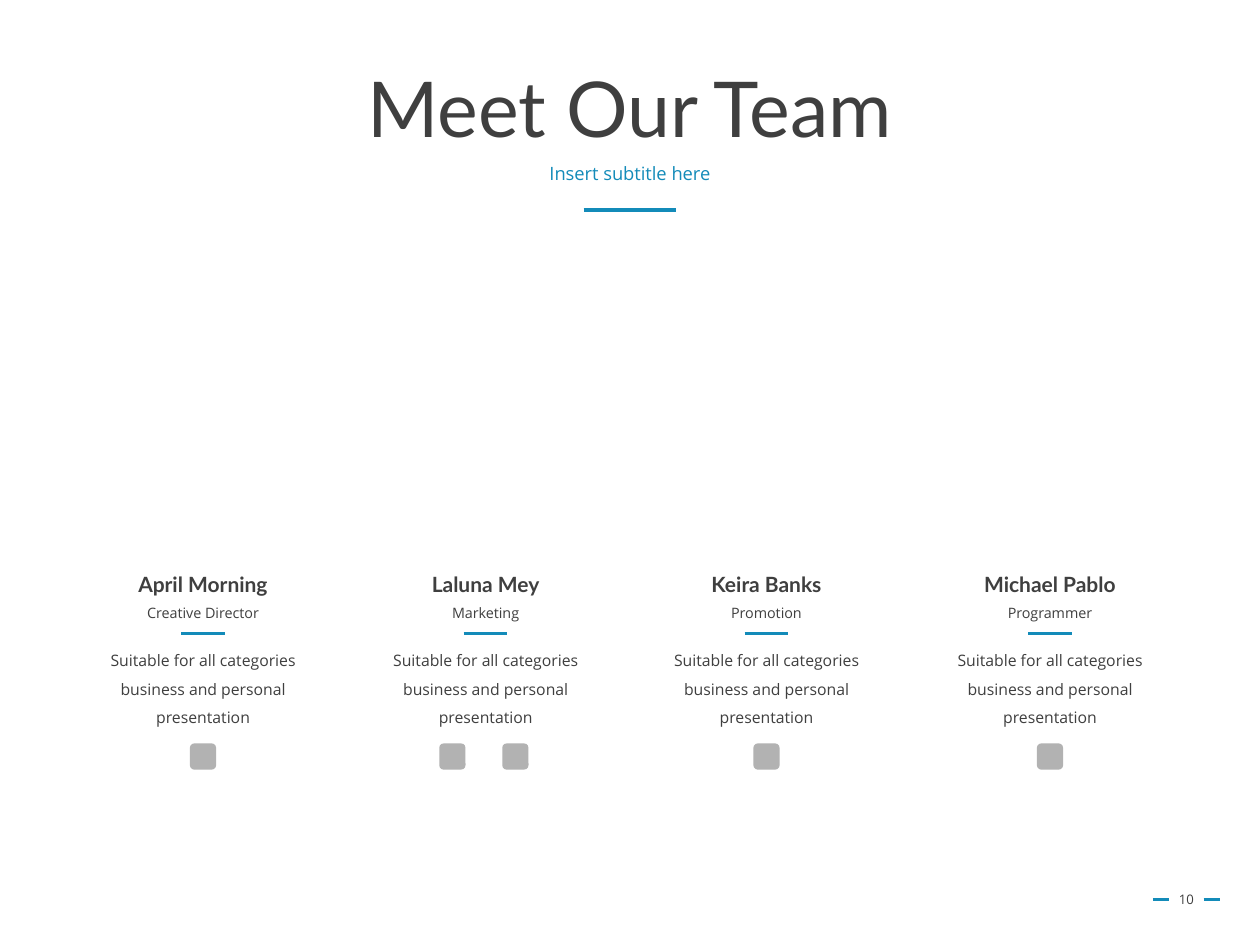
from dataclasses import dataclass

from lxml import etree
from pptx import Presentation
from pptx.dml.color import RGBColor
from pptx.enum.shapes import MSO_CONNECTOR, MSO_SHAPE
from pptx.enum.text import MSO_ANCHOR, MSO_AUTO_SIZE, PP_ALIGN
from pptx.oxml.ns import qn
from pptx.util import Pt

STRAIGHT = MSO_CONNECTOR.STRAIGHT
ROUNDED = MSO_SHAPE.ROUNDED_RECTANGLE
CENTER = PP_ALIGN.CENTER
TOP, MIDDLE = MSO_ANCHOR.TOP, MSO_ANCHOR.MIDDLE
NO_AUTOSIZE = MSO_AUTO_SIZE.NONE

HEADING = "Meet Our Team"
SUBTITLE = "Insert subtitle here"
PAGE_NUMBER = "10"
BIO = "Suitable for all categories business and personal presentation"
TEAM = [
    {"name": "April Morning", "role": "Creative Director", "center": 116, "icons": [0]},
    {"name": "Laluna Mey", "role": "Marketing", "center": 277.5, "icons": [-19, 17]},
    {"name": "Keira Banks", "role": "Promotion", "center": 438, "icons": [0]},
    {"name": "Michael Pablo", "role": "Programmer", "center": 600, "icons": [0]},
]


@dataclass(frozen=True)
class Theme:
    ink: RGBColor = RGBColor(0x3F, 0x3F, 0x3F)
    accent: RGBColor = RGBColor(0x13, 0x8B, 0xB9)
    icon: RGBColor = RGBColor(0xB2, 0xB2, 0xB2)
    display: str = "Lato"
    body: str = "Open Sans"
    heading_size: float = 44
    subtitle_size: float = 10.5
    name_size: float = 12
    role_size: float = 8.2
    bio_size: float = 9
    page_size: float = 7.5
    rule_width: float = 1.75


THEME = Theme()
SLIDE_WIDTH, SLIDE_HEIGHT = 720, 540
MIDLINE = SLIDE_WIDTH / 2
PAGE_CENTER, PAGE_RULE_Y = 678, 514
ICON_SIZE, ICON_TOP = 15, 424.8


def write(shape, text, font, size, color, bold=False, anchor=TOP, spacing=None):
    frame = shape.text_frame
    frame.text = text
    frame.word_wrap = True
    frame.auto_size = NO_AUTOSIZE
    frame.vertical_anchor = anchor
    paragraph = frame.paragraphs[0]
    paragraph.alignment = CENTER
    if spacing:
        paragraph.line_spacing = spacing
    style = paragraph.runs[0].font
    style.name, style.size, style.bold = font, Pt(size), bold
    style.color.rgb = color
    return paragraph


def centered_box(slide, center, top, width, height):
    return slide.shapes.add_textbox(Pt(center - width / 2), Pt(top), Pt(width), Pt(height))


def add_rule(slide, center, y, length):
    rule = slide.shapes.add_connector(
        STRAIGHT, Pt(center - length / 2), Pt(y), Pt(center + length / 2), Pt(y)
    )
    rule.line.color.rgb = THEME.accent
    rule.line.width = Pt(THEME.rule_width)
    etree.SubElement(rule._element.spPr, qn("a:effectLst"))


def add_icon(slide, center):
    icon = slide.shapes.add_shape(
        ROUNDED, Pt(center - ICON_SIZE / 2), Pt(ICON_TOP), Pt(ICON_SIZE), Pt(ICON_SIZE)
    )
    icon.shadow.inherit = False
    icon.fill.solid()
    icon.fill.fore_color.rgb = THEME.icon
    icon.line.fill.background()


def add_member(slide, member):
    center = member["center"]
    write(centered_box(slide, center, 323, 123, 21.6), member["name"],
          THEME.display, THEME.name_size, THEME.ink, bold=True)
    write(centered_box(slide, center, 341.5, 123, 17), member["role"],
          THEME.body, THEME.role_size, THEME.ink)
    add_rule(slide, center, 362, 25)
    write(centered_box(slide, center, 363, 137, 56), BIO,
          THEME.body, THEME.bio_size, THEME.ink, spacing=1.5)
    for offset in member["icons"]:
        add_icon(slide, center + offset)


deck = Presentation()
deck.slide_width, deck.slide_height = Pt(SLIDE_WIDTH), Pt(SLIDE_HEIGHT)
slide = deck.slides.add_slide(deck.slide_layouts[5])

heading = slide.shapes.title
heading.left, heading.top, heading.width, heading.height = Pt(49.7), Pt(28.8), Pt(620.6), Pt(70.6)
write(heading, HEADING, THEME.display, THEME.heading_size, THEME.ink, anchor=MIDDLE, spacing=0.9)

subtitle = write(centered_box(slide, MIDLINE, 90.7, 620.6, 28.8), SUBTITLE,
                 THEME.body, THEME.subtitle_size, THEME.accent, spacing=0.9)
subtitle.space_before = Pt(10)
add_rule(slide, MIDLINE, 120, 53)

for member in TEAM:
    add_member(slide, member)

write(centered_box(slide, PAGE_CENTER, 499.7, 31.7, 28.8), PAGE_NUMBER,
      THEME.body, THEME.page_size, THEME.ink, anchor=MIDDLE)
for side in (-1, 1):
    add_rule(slide, PAGE_CENTER + side * 14.5, PAGE_RULE_Y, 9.5)

deck.save("out.pptx")
